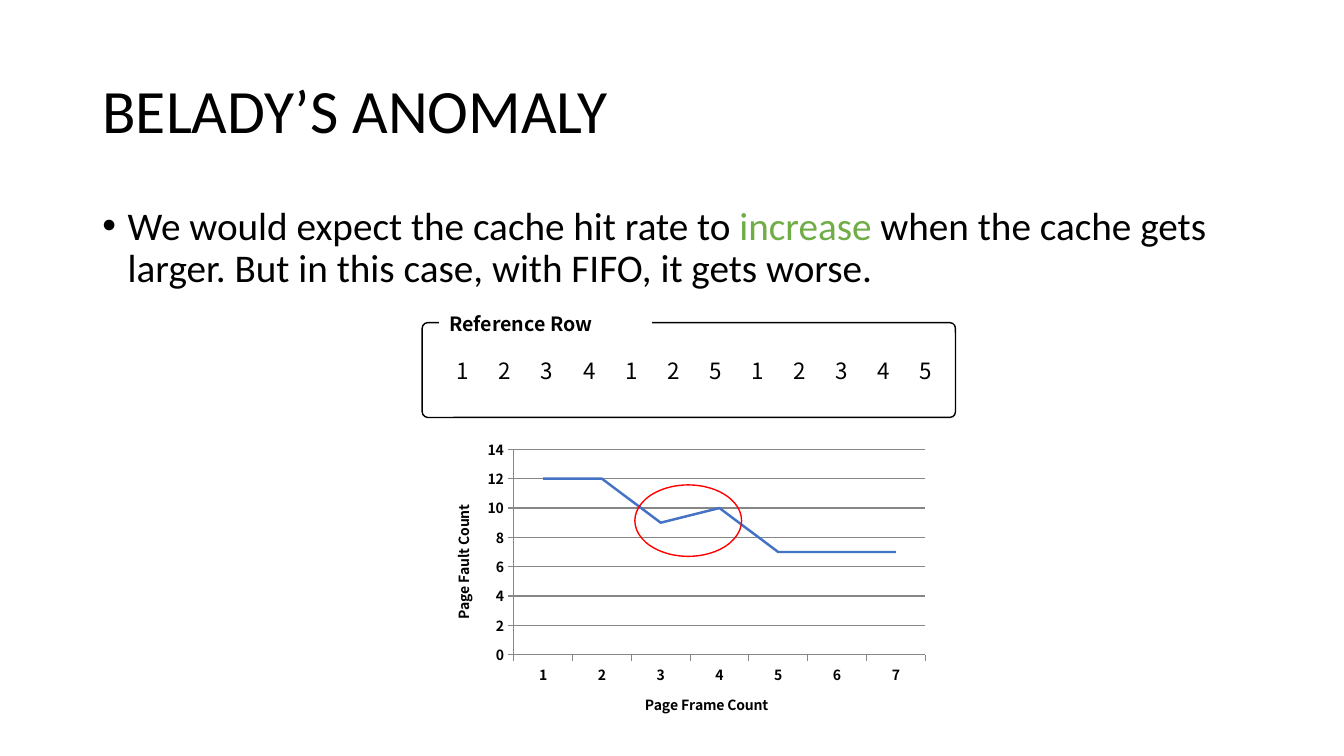
import pptx
import pptx.chart.data
import pptx.dml.color
import pptx.enum.chart
import pptx.enum.shapes
import pptx.enum.text
import pptx.oxml
import pptx.oxml.ns
import pptx.util

Cm = pptx.util.Cm
Pt = pptx.util.Pt
SHAPES = pptx.enum.shapes.MSO_SHAPE
ALIGN = pptx.enum.text.PP_ALIGN
ANCHOR = pptx.enum.text.MSO_ANCHOR

COLORS = {
    "text": "000000",
    "paper": "FFFFFF",
    "highlight": "70AD47",
    "curve": "4472C4",
    "grid": "868686",
    "warning": "FF0000",
}
REFERENCES = [1, 2, 3, 4, 1, 2, 5, 1, 2, 3, 4, 5]
FAULTS_BY_FRAMES = {"1": 12, "2": 12, "3": 9, "4": 10, "5": 7, "6": 7, "7": 7}


def color(name):
    return pptx.dml.color.RGBColor.from_string(COLORS[name])


class SlideBuilder:
    text_font = "Calibri"
    figure_font = "Noto Sans CJK KR"

    def __init__(self, slide):
        self.slide = slide

    def style(self, font, size, face, tone="text", bold=False):
        font.size, font.name, font.bold = Pt(size), face, bold
        font.color.rgb = color(tone)

    def add_run(self, paragraph, text, *style):
        run = paragraph.add_run()
        run.text = text
        self.style(run.font, *style)

    def title(self, text, *box):
        heading = self.slide.shapes.title
        heading.left, heading.top, heading.width, heading.height = map(Cm, box)
        heading.text_frame.vertical_anchor = ANCHOR.MIDDLE
        paragraph = heading.text_frame.paragraphs[0]
        paragraph.alignment = ALIGN.LEFT
        paragraph.line_spacing = 0.9
        self.add_run(paragraph, text, 44, self.text_font)

    def bullet(self, parts, *box):
        """Add one bulleted paragraph from (text, colour name) parts."""
        frame = self.slide.shapes.add_textbox(*map(Cm, box)).text_frame
        frame.word_wrap = True
        paragraph = frame.paragraphs[0]
        paragraph.line_spacing = 0.9
        properties = paragraph._p.get_or_add_pPr()
        properties.set("marL", str(Cm(0.64)))
        properties.set("indent", str(Cm(-0.64)))
        namespace = pptx.oxml.ns.nsdecls("a")
        for mark in ('buFont {} typeface="Arial"', 'buChar {} char="•"'):
            properties.append(pptx.oxml.parse_xml(f"<a:{mark.format(namespace)}/>"))
        for text, tone in parts:
            self.add_run(paragraph, text, 28, self.text_font, tone)

    def shape(self, kind, *box, fill=None, line=None):
        shape = self.slide.shapes.add_shape(kind, *map(Cm, box))
        shape.shadow.inherit = False
        if fill:
            shape.fill.solid()
            shape.fill.fore_color.rgb = color(fill)
        else:
            shape.fill.background()
        if line:
            shape.line.color.rgb = color(line)
            shape.line.width = Pt(1)
        else:
            shape.line.fill.background()
        return shape

    def frame_label(self, text, *box):
        label = self.shape(SHAPES.RECTANGLE, *box, fill="paper")
        label.text_frame.vertical_anchor = ANCHOR.MIDDLE
        paragraph = label.text_frame.paragraphs[0]
        paragraph.alignment = ALIGN.LEFT
        self.add_run(paragraph, text, 14, self.figure_font, "text", True)

    def reference(self, page, *box):
        frame = self.slide.shapes.add_textbox(*map(Cm, box)).text_frame
        frame.word_wrap = True
        frame.margin_left = frame.margin_right = 0
        frame.vertical_anchor = ANCHOR.MIDDLE
        paragraph = frame.paragraphs[0]
        paragraph.alignment = ALIGN.CENTER
        self.add_run(paragraph, str(page), 16, self.figure_font)

    def axis(self, axis, title):
        paragraph = axis.axis_title.text_frame.paragraphs[0]
        self.add_run(paragraph, title, 10, self.figure_font, "text", True)
        self.style(axis.tick_labels.font, 10, self.figure_font, "text", True)
        axis.major_tick_mark = pptx.enum.chart.XL_TICK_MARK.OUTSIDE
        axis.format.line.color.rgb = color("grid")

    def line_chart(self, values, category_title, value_title, *box):
        data = pptx.chart.data.CategoryChartData()
        data.categories = list(values)
        data.add_series("Series 1", list(values.values()))
        chart = self.slide.shapes.add_chart(
            pptx.enum.chart.XL_CHART_TYPE.LINE, *map(Cm, box), data).chart
        chart.has_legend = chart.has_title = False
        self.style(chart.font, 10, self.text_font)
        self.axis(chart.category_axis, category_title)
        self.axis(chart.value_axis, value_title)
        chart.value_axis.minimum_scale = 0
        chart.value_axis.maximum_scale = 14
        chart.value_axis.major_unit = 2
        chart.value_axis.major_gridlines.format.line.color.rgb = color("grid")
        chart.plots[0].vary_by_categories = False
        curve = chart.plots[0].series[0]
        curve.smooth = False
        curve.marker.style = pptx.enum.chart.XL_MARKER_STYLE.NONE
        curve.format.line.color.rgb = color("curve")
        curve.format.line.width = Pt(1.75)


def main():
    deck = pptx.Presentation()
    deck.slide_width, deck.slide_height = Cm(33.87), Cm(19.05)
    builder = SlideBuilder(deck.slides.add_slide(deck.slide_layouts[5]))

    builder.title("BELADY’S ANOMALY", 2.33, 1.02, 29.21, 3.68)
    builder.bullet([
        ("We would expect the cache hit rate to ", "text"),
        ("increase", "highlight"),
        (" when the cache gets larger. But in this case, with FIFO, it gets worse.",
         "text"),
    ], 2.33, 5.08, 29.21, 12.09)
    builder.line_chart(FAULTS_BY_FRAMES, "Page Frame Count", "Page Fault Count",
                       10.87, 10.92, 12.7, 7.62)

    reference_frame = builder.shape(SHAPES.ROUNDED_RECTANGLE, 10.64, 8.13, 13.44, 2.39,
                                    fill="paper", line="text")
    reference_frame.adjustments[0] = 0.06
    builder.frame_label("Reference Row", 11.07, 7.72, 5.36, 0.86)
    for position, page in enumerate(REFERENCES):
        builder.reference(page, 11.07 + 1.06 * position, 8.86, 1.2, 0.94)

    builder.shape(SHAPES.OVAL, 16, 12.22, 2.69, 1.8, line="warning")
    deck.save("out.pptx")


if __name__ == "__main__":
    main()
